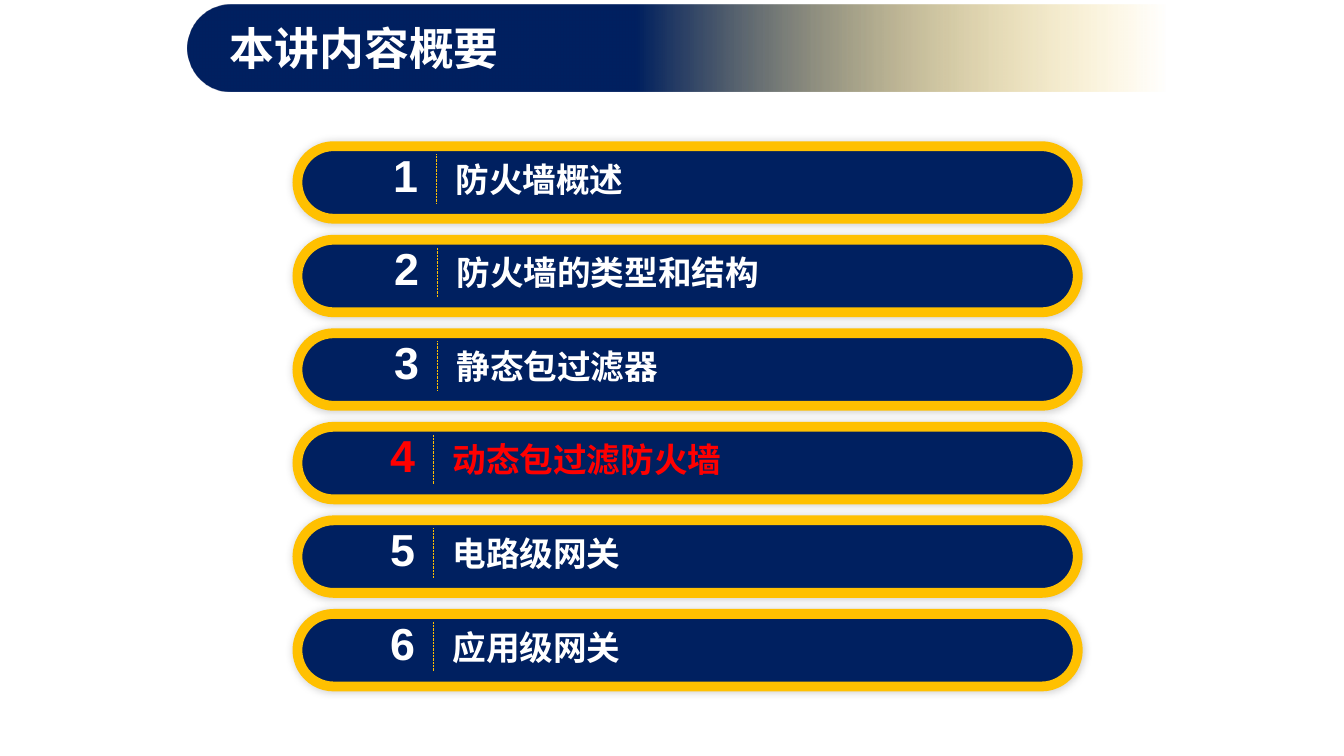
from lxml import etree
from pptx import Presentation, util as u
from pptx.dml.color import RGBColor
from pptx.enum import dml, shapes, text
from pptx.oxml.ns import qn

COLORS = {"navy": "002060", "gold": "FFC000", "white": "FFFFFF", "red": "FF0000", "black": "000000"}
LATIN, CHINESE = "Arial", "Noto Sans CJK SC"
SLIDE_WIDTH, SLIDE_HEIGHT = 13.33, 7.5
BANNER_BOX = (1.86, 0.05, 10.55, 0.86)
AGENDA_BOX = (2.95, 1.45, 7.74, 5.36)
ROW_HEIGHT = 0.72
LABEL_TAB = 0.62
TOPICS = [
    ("防火墙概述", 0.85, "white"),
    ("防火墙的类型和结构", 0.86, "white"),
    ("静态包过滤器", 0.86, "white"),
    ("动态包过滤防火墙", 0.82, "red"),
    ("电路级网关", 0.82, "white"),
    ("应用级网关", 0.82, "white"),
]


def rgb(color):
    """Return the named palette colour."""
    return RGBColor.from_string(COLORS[color])


def add_xml(parent, tag, **attributes):
    """Append a DrawingML element and return it."""
    return etree.SubElement(parent, qn(tag), attributes)


def inches(*lengths):
    """Convert lengths in inches to slide units."""
    return [u.Inches(length) for length in lengths]


def add_words(paragraph, words, size, color, typeface):
    """Add a bold run in one typeface."""
    run = paragraph.add_run()
    run.text = words
    for key, value in {"size": u.Pt(size), "bold": True, "name": typeface}.items():
        setattr(run.font, key, value)
    run.font.color.rgb = rgb(color)
    add_xml(run.font._element, "a:ea", typeface=CHINESE)


def format_frame(frame):
    """Set the common layout of a text frame."""
    layout = {"word_wrap": True, "auto_size": text.MSO_AUTO_SIZE.NONE,
              "vertical_anchor": text.MSO_ANCHOR.MIDDLE}
    for key, value in layout.items():
        setattr(frame, key, value)
    frame.paragraphs[0].alignment = text.PP_ALIGN.LEFT


def add_pill(slide, box):
    """Add a fully rounded bar without a shadow."""
    pill = slide.shapes.add_shape(shapes.MSO_SHAPE.ROUNDED_RECTANGLE, *inches(*box))
    pill.adjustments[0] = 0.5
    pill.shadow.inherit = False
    return pill


def add_banner(slide, box):
    """Place the fading banner and its title."""
    left, top, width, height = box
    banner = add_pill(slide, box)
    banner.line.fill.background()
    banner.fill.gradient()
    banner.fill.gradient_angle = 0
    for stop, position, color in zip(banner.fill.gradient_stops, (0.42, 0.92), ("navy", "gold")):
        stop.position = position
        stop.color.rgb = rgb(color)
    faded = banner._element.spPr.findall(".//" + qn("a:srgbClr"))[-1]
    add_xml(faded, "a:alpha", val="0")

    title = slide.shapes.title
    title.left, title.top, title.width, title.height = inches(
        left + 0.32, top + 0.1, width * 0.5, height * 0.75)
    format_frame(title.text_frame)
    add_words(title.text_frame.paragraphs[0], "本讲内容概要", 32, "white", CHINESE)
    slide.shapes._spTree.append(title._element)


def add_topic(slide, box, number, topic, indent, color):
    """Place one numbered topic with its divider."""
    left, top, width, height = box
    bar = add_pill(slide, box)
    bar.fill.solid()
    bar.fill.fore_color.rgb = rgb("navy")
    bar.line.color.rgb = rgb("gold")
    bar.line.width = u.Pt(7)
    effects = bar._element.spPr.find(qn("a:effectLst"))
    glow = add_xml(effects, "a:outerShdw", blurRad=str(u.Pt(6)), dist="0", dir="18900000")
    add_xml(add_xml(glow, "a:srgbClr", val=COLORS["black"]), "a:alpha", val="20000")

    label = slide.shapes.add_textbox(*inches(left + indent, top - 0.04, width * 0.65, 0.64))
    format_frame(label.text_frame)
    line = label.text_frame.paragraphs[0]
    tabs = add_xml(line._p.get_or_add_pPr(), "a:tabLst")
    add_xml(tabs, "a:tab", pos=str(u.Inches(LABEL_TAB)), algn="l")
    add_words(line, str(number), 32, color, LATIN)
    add_words(line, "\t" + topic, 24, color, CHINESE)

    x = left + indent + 0.53
    divider = slide.shapes.add_connector(
        shapes.MSO_CONNECTOR.STRAIGHT, *inches(x, top + 0.08, x, top + 0.57))
    divider.line.color.rgb = rgb("gold")
    divider.line.width = u.Pt(0.5)
    divider.line.dash_style = dml.MSO_LINE.ROUND_DOT
    add_xml(divider._element.spPr, "a:effectLst")


def add_agenda(slide, box):
    """Stack the topics evenly within the box."""
    left, top, width, height = box
    pitch = (height - ROW_HEIGHT) / (len(TOPICS) - 1)
    for row, (topic, indent, color) in enumerate(TOPICS):
        add_topic(slide, (left, top + row * pitch, width, ROW_HEIGHT), row + 1, topic, indent, color)


def main():
    """Build and save the agenda slide."""
    deck = Presentation()
    deck.slide_width, deck.slide_height = inches(SLIDE_WIDTH, SLIDE_HEIGHT)
    slide = deck.slides.add_slide(deck.slide_layouts[5])
    add_banner(slide, BANNER_BOX)
    add_agenda(slide, AGENDA_BOX)
    deck.save("out.pptx")


if __name__ == "__main__":
    main()
